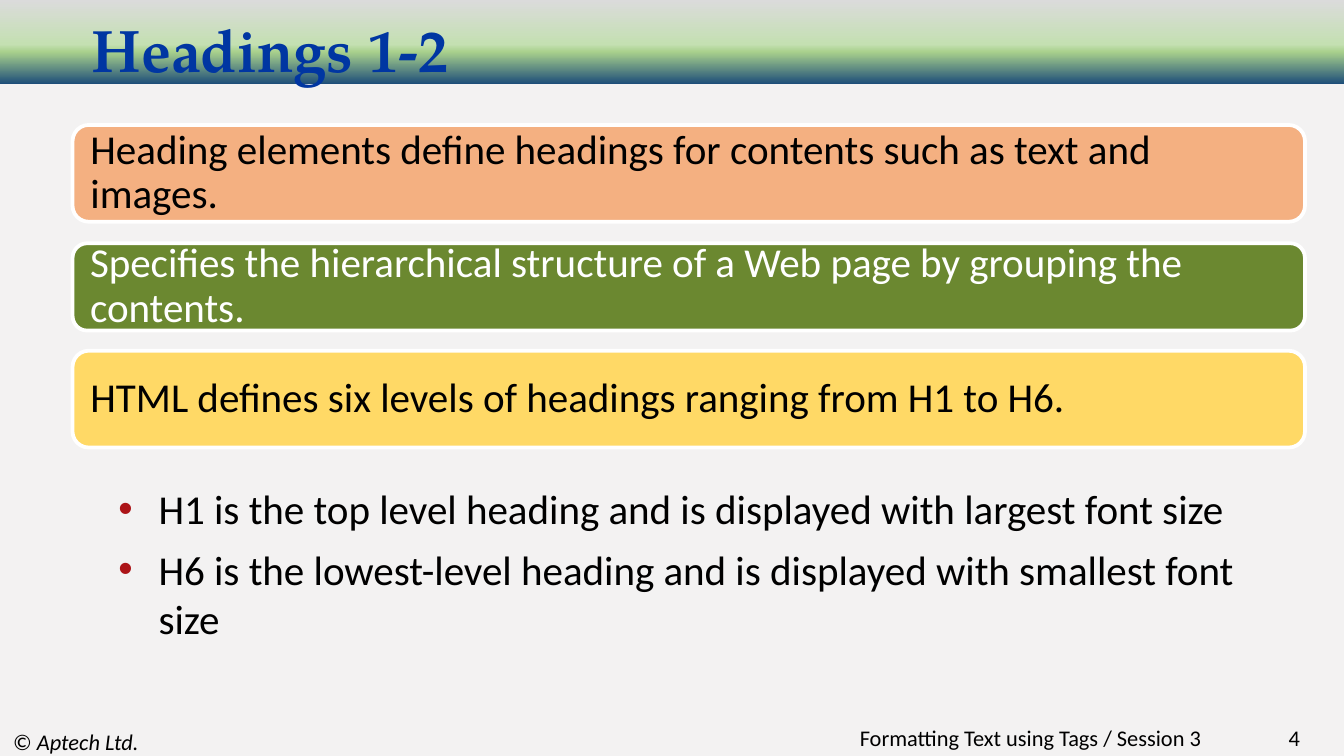
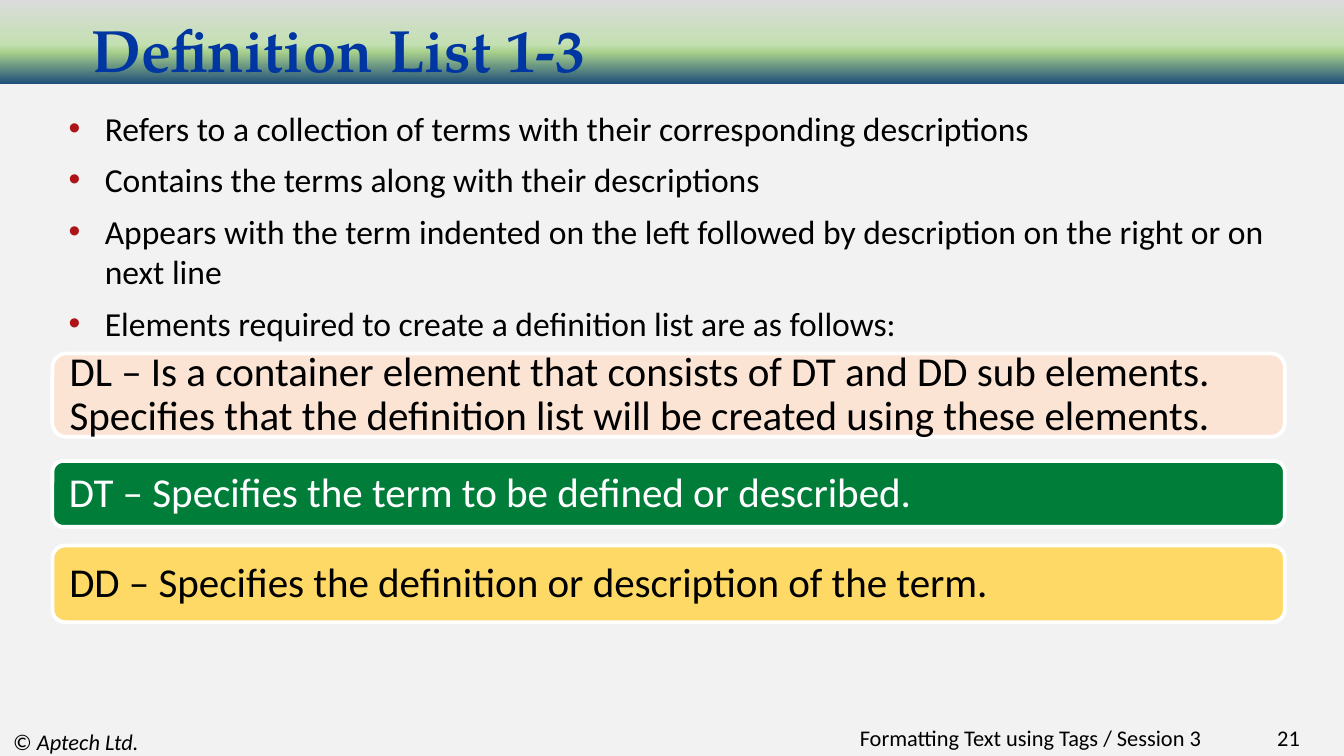
from dataclasses import dataclass
from typing import Optional

from lxml import etree
from pptx import Presentation
from pptx.dml.color import RGBColor
from pptx.enum import shapes, text
from pptx.oxml import ns
from pptx.util import Inches, Pt

# Shared look
WIDE = Inches(10)
HIGH = WIDE * 9 // 16
BLACK = RGBColor(0x00, 0x00, 0x00)
WHITE = RGBColor(0xFF, 0xFF, 0xFF)
PAPER = RGBColor(0xF3, 0xF2, 0xF2)
NAVY = RGBColor(0x00, 0x36, 0xA2)
RED = RGBColor(0xAC, 0x14, 0x18)
ORANGE = RGBColor(0xF4, 0xB0, 0x81)
PEACH = RGBColor(0xFB, 0xE4, 0xD4)
OLIVE = RGBColor(0x6B, 0x88, 0x30)
GREEN = RGBColor(0x00, 0x7E, 0x39)
GOLD = RGBColor(0xFF, 0xD9, 0x66)
BAND = [
    (0, RGBColor(0x1E, 0x4E, 0x79)),
    (38, RGBColor(0xA8, 0xD0, 0x8C)),
    (47, RGBColor(0xC4, 0xE0, 0xB2)),
    (100, RGBColor(0xDB, 0xDB, 0xDB)),
]
SANS = "Calibri"
SERIF = "TeX Gyre Pagella"
SESSION = "Formatting Text using Tags / Session 3"
LEFT, RIGHT = text.PP_ALIGN.LEFT, text.PP_ALIGN.RIGHT
MIDDLE = text.MSO_ANCHOR.MIDDLE


@dataclass
class Box:
    left: float
    top: float
    width: float
    height: float

    def place(self) -> tuple:
        return tuple(Inches(v) for v in (self.left, self.top, self.width, self.height))


@dataclass
class Card:
    words: str
    top: float
    height: float
    fill: RGBColor
    ink: RGBColor = BLACK


@dataclass
class Points:
    lines: list
    box: Box
    size: int
    hang: float
    align: text.PP_ALIGN
    anchor: text.MSO_ANCHOR


@dataclass
class Page:
    title: str
    number: int
    width: float
    left: float
    cards: list
    points: Points


def style(para, size: int, color: RGBColor = BLACK, name: str = SANS,
          bold: Optional[bool] = None) -> None:
    font = para.font
    font.size, font.name, font.bold = Pt(size), name, bold
    font.color.rgb = color


def move(shape, box: Box) -> None:
    shape.left, shape.top, shape.width, shape.height = box.place()


def add_band(slide):
    band = slide.shapes.add_shape(shapes.MSO_SHAPE.RECTANGLE, 0, 0, WIDE, HIGH // 9)
    band.shadow.inherit = False
    band.line.fill.background()
    band.fill.gradient()
    grad = band._element.spPr.find(ns.qn("a:gradFill"))
    for child in list(grad):
        grad.remove(child)
    stops = etree.SubElement(grad, ns.qn("a:gsLst"))
    for spot, color in BAND:
        stop = etree.SubElement(stops, ns.qn("a:gs"), pos=str(spot * 1000))
        etree.SubElement(stop, ns.qn("a:srgbClr"), val=str(color))
    etree.SubElement(grad, ns.qn("a:lin"), ang=str(270 * 60000), scaled="0")
    return band


def add_note(slide, words: str, box: Box, align: text.PP_ALIGN = RIGHT,
             slant: str = "", inset: float = 0.1):
    note = slide.shapes.add_textbox(*box.place())
    frame = note.text_frame
    frame.word_wrap, frame.vertical_anchor = True, MIDDLE
    frame.margin_right = Inches(inset)
    para = frame.paragraphs[0]
    para.alignment = align
    style(para, 12)
    para.add_run().text = words
    if slant:
        run = para.add_run()
        run.text, run.font.italic = slant, True
    return note


def share(slide, layout) -> None:
    """Put the band and the copyright line on the layout."""
    layout.background.fill.solid()
    layout.background.fill.fore_color.rgb = PAPER
    parts = [add_band(slide),
             add_note(slide, "© ", Box(0, 5.42, 3.33, 0.2), LEFT, "Aptech Ltd.")]
    for spot, part in enumerate(parts, start=2):
        layout.shapes._spTree.insert(spot, part._element)


def set_title(slide, page: Page) -> None:
    title = slide.shapes.title
    move(title, Box(0.58, 0.19, page.width, 0.34))
    frame = title.text_frame
    frame.text = page.title
    frame.auto_size, frame.vertical_anchor = text.MSO_AUTO_SIZE.NONE, MIDDLE
    para = frame.paragraphs[0]
    para.alignment = LEFT
    style(para, 32, NAVY, SERIF, True)


def add_card(slide, card: Card, left: float) -> None:
    box = Box(left, card.top, 9.17, card.height)
    shape = slide.shapes.add_shape(shapes.MSO_SHAPE.ROUNDED_RECTANGLE, *box.place())
    shape.shadow.inherit = False
    shape.fill.solid()
    shape.fill.fore_color.rgb = card.fill
    shape.line.color.rgb, shape.line.width = WHITE, Pt(2)
    frame = shape.text_frame
    frame.word_wrap, frame.vertical_anchor = True, MIDDLE
    frame.margin_top = frame.margin_bottom = 0
    frame.text = card.words
    para = frame.paragraphs[0]
    para.alignment, para.line_spacing = LEFT, 0.9
    style(para, 22, card.ink)


def add_bullet(para, hang: float) -> None:
    props = para._p.get_or_add_pPr()
    props.set("marL", str(Inches(0.5)))
    props.set("indent", str(-Inches(hang)))
    tint = etree.SubElement(props, ns.qn("a:buClr"))
    etree.SubElement(tint, ns.qn("a:srgbClr"), val=str(RED))
    etree.SubElement(props, ns.qn("a:buFont"), typeface="Arial")
    etree.SubElement(props, ns.qn("a:buChar"), char="•")


def set_points(slide, points: Points) -> None:
    body = slide.placeholders[1]
    move(body, points.box)
    frame = body.text_frame
    frame.text = "\n".join(points.lines)
    frame.auto_size, frame.vertical_anchor = text.MSO_AUTO_SIZE.NONE, points.anchor
    for index, para in enumerate(frame.paragraphs):
        para.level, para.alignment = 1, points.align
        add_bullet(para, points.hang)
        para.space_before = Pt(6 if index else 0)
        style(para, points.size)


def fill_page(slide, page: Page) -> None:
    set_title(slide, page)
    set_points(slide, page.points)
    for card in page.cards:
        add_card(slide, card, page.left)
    add_note(slide, str(page.number), Box(8.92, 5.42, 0.85, 0.14))
    add_note(slide, SESSION, Box(2.5, 5.42, 6.58, 0.14), inset=0.14)


# Content
PAGES = [
    Page("Headings 1-2", 4, 9.33, 0.54, [
        Card("Heading elements define headings for contents such as text and images.",
             0.93, 0.72, ORANGE),
        Card("Specifies the hierarchical structure of a Web page by grouping the contents.",
             1.81, 0.65, OLIVE, WHITE),
        Card("HTML defines six levels of headings ranging from H1 to H6.",
             2.61, 0.72, GOLD),
    ], Points([
        "H1 is the top level heading and is displayed with largest font size",
        "H6 is the lowest-level heading and is displayed with smallest font size",
    ], Box(0.58, 3.38, 9.09, 1.62), 22, 0.3, LEFT, MIDDLE)),
    Page("Definition List 1-3", 21, 8.33, 0.39, [
        Card("DL – Is a container element that consists of DT and DD sub elements. "
             "Specifies that the definition list will be created using these elements.",
             2.63, 0.62, PEACH),
        Card("DT – Specifies the term to be defined or described.",
             3.43, 0.49, GREEN, WHITE),
        Card("DD – Specifies the definition or description of the term.",
             4.06, 0.57, GOLD),
    ], Points([
        "Refers to a collection of terms with their corresponding descriptions",
        "Contains the terms along with their descriptions",
        "Appears with the term indented on the left followed by description on the right "
        "or on next line",
        "Elements required to create a definition list are as follows:",
    ], Box(0.18, 0.75, 9.33, 1.65), 18, 0.27, text.PP_ALIGN.JUSTIFY, text.MSO_ANCHOR.TOP)),
]


def main() -> None:
    deck = Presentation()
    deck.slide_width, deck.slide_height = WIDE, HIGH
    layout = deck.slide_layouts[1]
    slides = [deck.slides.add_slide(layout) for _ in PAGES]
    share(slides[0], layout)
    for slide, page in zip(slides, PAGES):
        fill_page(slide, page)
    deck.save("out.pptx")


if __name__ == "__main__":
    main()
